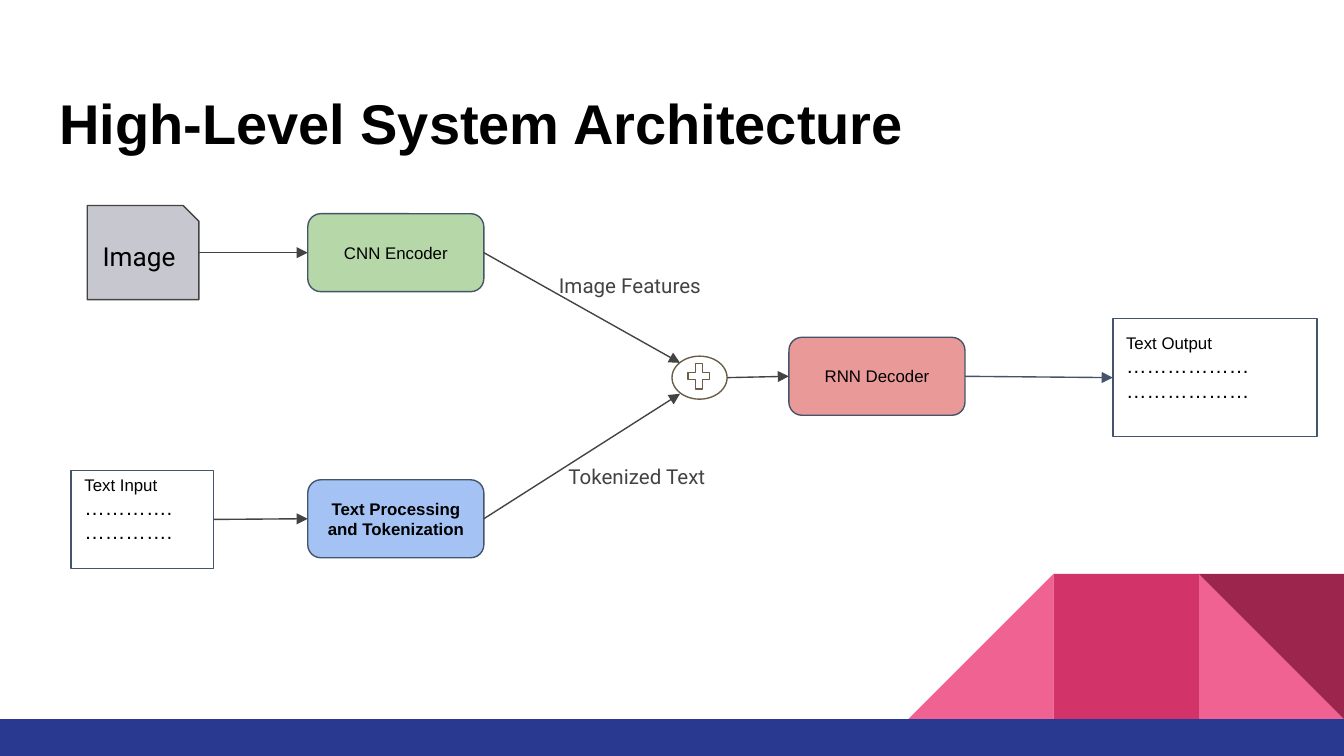
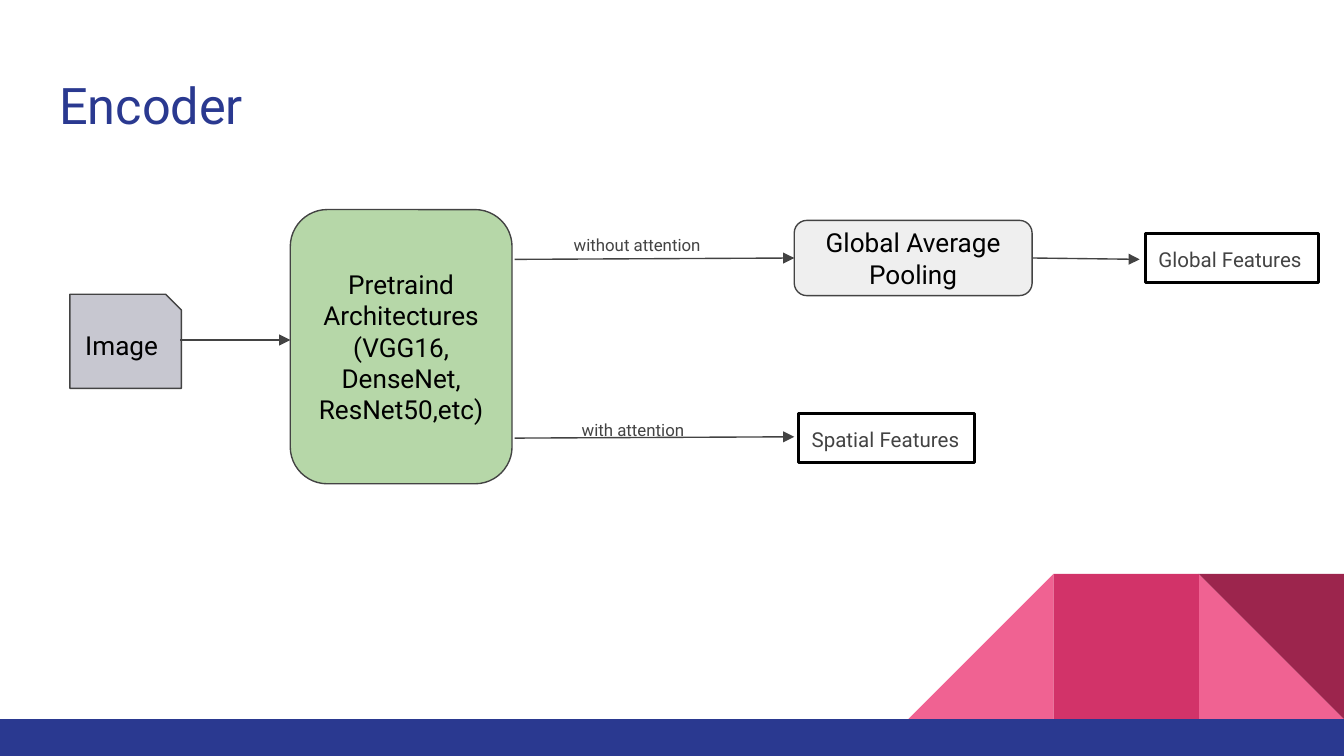
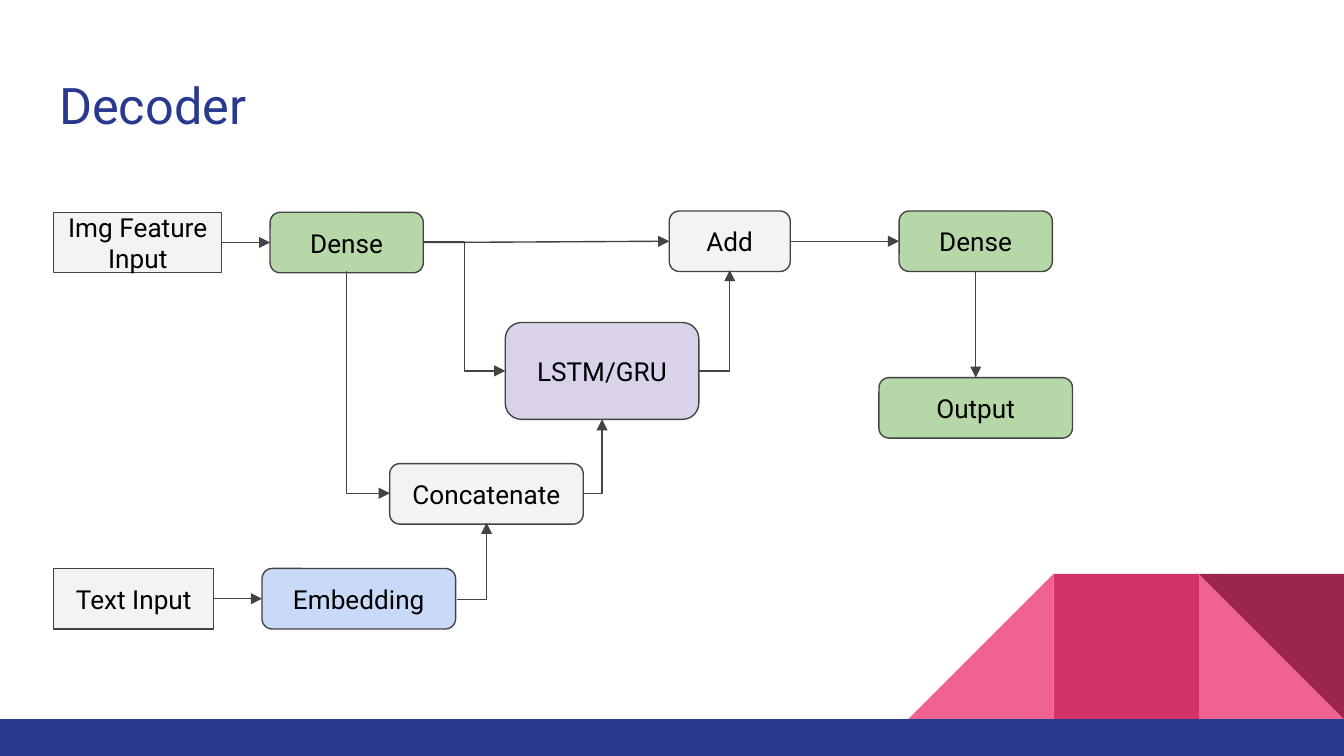
"""Build three slides on an image captioning encoder and decoder."""
import pptx
import pptx.dml.color
import pptx.enum.shapes
import pptx.enum.text
import pptx.oxml.ns
import pptx.util
from lxml import etree

Inches = pptx.util.Inches
Pt = pptx.util.Pt
RGBColor = pptx.dml.color.RGBColor
KIND = pptx.enum.shapes.MSO_SHAPE
CONNECTOR = pptx.enum.shapes.MSO_CONNECTOR
ALIGN = pptx.enum.text.PP_ALIGN
ANCHOR = pptx.enum.text.MSO_ANCHOR
qn = pptx.oxml.ns.qn

BLACK = RGBColor(0x00, 0x00, 0x00)
WHITE = RGBColor(0xFF, 0xFF, 0xFF)
NAVY = RGBColor(0x2A, 0x39, 0x90)
PINK = RGBColor(0xF0, 0x62, 0x92)
ROSE = RGBColor(0xD2, 0x33, 0x69)
WINE = RGBColor(0x9C, 0x25, 0x4D)
INK = RGBColor(0x43, 0x43, 0x43)
SLATE = RGBColor(0x44, 0x54, 0x6A)
BROWN = RGBColor(0x69, 0x5D, 0x46)
GREEN = RGBColor(0xB6, 0xD7, 0xA8)
RED = RGBColor(0xEA, 0x99, 0x99)
BLUE = RGBColor(0xA4, 0xC2, 0xF4)
PALE_BLUE = RGBColor(0xC9, 0xDA, 0xF8)
LILAC = RGBColor(0xD9, 0xD2, 0xE9)
STEEL = RGBColor(0xC7, 0xC7, 0xD0)
SILVER = RGBColor(0xEF, 0xEF, 0xEF)
MIST = RGBColor(0xF3, 0xF3, 0xF3)

TOP, LEFT, BOTTOM, RIGHT = range(4)
INSETS = {f"margin_{side}": Inches(0.1) for side in ("left", "top", "right", "bottom")}
FRAME = {"word_wrap": True, "auto_size": pptx.enum.text.MSO_AUTO_SIZE.NONE, **INSETS}
SMALL = {"name": "Arial", "size": Pt(9)}
LABEL = {"size": Pt(11), "color": INK}
NOTE = {"size": Pt(9), "color": INK}


def apply(target, values):
    """Set each named attribute of the target."""
    for name, value in values.items():
        setattr(target, name, value)


class Deck:
    """Holds the presentation style and the current slide."""

    def __init__(self):
        """Start an empty widescreen presentation."""
        self.prs = pptx.Presentation()
        apply(self.prs, {"slide_width": Inches(10), "slide_height": Inches(5.625)})
        self.layout = self.prs.slide_layouts[5]
        self.slide = None

    def start(self, title, size=27, name="Roboto", color=NAVY, bold=False, frame=None, spacing=1.0):
        """Add a slide with its title."""
        self.slide = self.prs.slides.add_slide(self.layout)
        if len(self.prs.slides) == 1:
            self.decorate()
        box = self.slide.shapes.title
        self.place(box, (0.34, 0.45, 9.32, 0.66))
        font = {"name": name, "size": Pt(size), "bold": bold, "color": color}
        self.set_text(box, [title], font, ALIGN.LEFT,
                      {"vertical_anchor": ANCHOR.MIDDLE, **(frame or {})})
        box.text_frame.paragraphs[0].line_spacing = spacing

    def decorate(self):
        """Put the folded ribbon and the footer band on the layout."""
        fold, top = 1.08, 4.27
        left, middle, right = (10 - fold * count for count in (3, 2, 1))
        ribbon = [
            self.node(KIND.RIGHT_TRIANGLE, (right, top, fold, fold), PINK, None),
            self.node(KIND.RIGHT_TRIANGLE, (left, top, fold, fold), PINK, None),
            self.node(KIND.RECTANGLE, (middle, top, fold, fold), ROSE, None),
            self.node(KIND.RIGHT_TRIANGLE, (right, top, fold, fold), WINE, None),
            self.node(KIND.RECTANGLE, (0, 5.35, 10, 0.28), NAVY, None),
        ]
        ribbon[1].element.spPr.find(qn("a:xfrm")).set("flipH", "1")
        ribbon[3].rotation = 180
        for part in ribbon:
            self.layout.shapes.element.append(part.element)

    def place(self, shape, at):
        """Move and size a shape in inches."""
        apply(shape, dict(zip(("left", "top", "width", "height"), map(Inches, at))))

    def set_text(self, shape, lines, font, align, frame):
        """Fill a shape with formatted paragraphs."""
        text = shape.text_frame
        apply(text, {**FRAME, **frame})
        style = {"name": "Roboto", "size": Pt(14), "color": BLACK, **font}
        color = style.pop("color")
        for index, line in enumerate(lines):
            paragraph = text.add_paragraph() if index else text.paragraphs[0]
            paragraph.text = line
            paragraph.alignment = align
            apply(paragraph.font, style)
            paragraph.font.color.rgb = color

    def node(self, kind, at, fill, line=INK, text="", font=None, align=ALIGN.CENTER,
             anchor=ANCHOR.MIDDLE, weight=0.75, frame=None):
        """Add a preset shape with optional text."""
        shape = self.slide.shapes.add_shape(kind, *map(Inches, at))
        shape.shadow.inherit = False
        if fill is None:
            shape.fill.background()
        else:
            shape.fill.solid()
            shape.fill.fore_color.rgb = fill
        if line is None:
            shape.line.fill.background()
        else:
            shape.line.color.rgb = line
            shape.line.width = Pt(weight)
        if text:
            self.set_text(shape, text.split("\n"), font or {}, align,
                          {"vertical_anchor": anchor, **(frame or {})})
        return shape

    def step(self, at, fill, text, font=None, line=INK):
        """Add a rounded processing step."""
        return self.node(KIND.ROUNDED_RECTANGLE, at, fill, line, text, font)

    def image(self, left, top):
        """Add the snipped card that stands for the input image."""
        return self.node(KIND.SNIP_1_RECTANGLE, (left, top, 0.83, 0.7), STEEL, text="Image")

    def page(self, at, title, dots):
        """Add a text page with a heading and two dotted lines."""
        page = self.node(KIND.RECTANGLE, at, WHITE, SLATE, "\n".join((title, dots, dots)), SMALL,
                         ALIGN.LEFT, frame={"margin_bottom": Inches(0.25)})
        for dotted in page.text_frame.paragraphs[1:]:
            dotted.font.size = Pt(11)
        return page

    def feature(self, at, text):
        """Add an outlined feature box."""
        return self.node(KIND.RECTANGLE, at, None, BLACK, text, LABEL, ALIGN.LEFT, ANCHOR.TOP, 1.5)

    def label(self, at, text, font):
        """Add a plain text label."""
        box = self.slide.shapes.add_textbox(*map(Inches, at))
        self.set_text(box, [text], font, ALIGN.LEFT, {"vertical_anchor": ANCHOR.TOP})

    def finish(self, connector, color):
        """Give a connector its line and arrowhead."""
        connector.line.color.rgb = color
        connector.line.width = Pt(0.75)
        properties = connector.element.spPr
        etree.SubElement(properties.find(qn("a:ln")), qn("a:tailEnd"), type="triangle")
        etree.SubElement(properties, qn("a:effectLst"))

    def arrow(self, start, end, color=INK):
        """Draw a straight arrow between points or (shape, side) pairs."""
        points = [(0, 0) if hasattr(spot[0], "left") else spot for spot in (start, end)]
        connector = self.slide.shapes.add_connector(
            CONNECTOR.STRAIGHT, *(Inches(value) for point in points for value in point))
        for spot, join in ((start, connector.begin_connect), (end, connector.end_connect)):
            if hasattr(spot[0], "left"):
                join(*spot)
        self.finish(connector, color)

    def elbow(self, start, end, bends=1, down_first=False):
        """Draw a right-angled arrow with one or two bends."""
        (x1, y1), (x2, y2) = start, end
        if down_first:
            x, y = (x1 + x2) / 2, (y1 + y2) / 2
            across, down = (x2 - x1) / 2, (y2 - y1) / 2
            x1, y1, x2, y2 = x + down, y - across, x - down, y + across
        connector = self.slide.shapes.add_connector(CONNECTOR.ELBOW, *map(Inches, (x1, y1, x2, y2)))
        properties = connector.element.spPr
        properties.find(qn("a:prstGeom")).set("prst", f"bentConnector{bends + 1}")
        if down_first:
            properties.find(qn("a:xfrm")).set("rot", str(270 * 60000))
        self.finish(connector, INK)


def architecture(deck):
    """Build the system overview."""
    deck.start("High-Level System Architecture", 30, "Arial", BLACK, True,
               {"margin_top": Inches(0.29)}, 1.15)
    size = (1.31, 0.58)
    cnn = deck.step((2.29, 1.59, *size), GREEN, "CNN Encoder", SMALL, SLATE)
    rnn = deck.step((5.87, 2.51, *size), RED, "RNN Decoder", SMALL, SLATE)
    output = deck.page((8.28, 2.37, 1.52, 0.88), "Text Output", "………………")
    deck.image(0.65, 1.53)
    tokenizer = deck.step((2.29, 3.57, *size), BLUE, "Text Processing and Tokenization",
                          {**SMALL, "bold": True}, SLATE)
    source = deck.page((0.53, 3.5, 1.06, 0.73), "Text Input", "………….")
    deck.arrow((rnn, RIGHT), (output, LEFT), SLATE)
    deck.arrow((1.47, 1.88), (cnn, LEFT))
    deck.arrow((source, RIGHT), (tokenizer, LEFT))
    deck.arrow((cnn, RIGHT), (5.06, 2.7))
    deck.arrow((tokenizer, RIGHT), (5.06, 2.93))
    deck.node(KIND.OVAL, (5, 2.65, 0.41, 0.32), WHITE, BROWN)
    plus = deck.node(KIND.MATH_PLUS, (5.09, 2.67, 0.22, 0.26), WHITE, BROWN)
    plus.adjustments[0] = 0.235
    deck.arrow((5.41, 2.81), (rnn, LEFT))
    deck.label((4.06, 1.94, 1.52, 0.18), "Image Features", LABEL)
    deck.label((4.13, 3.36, 1.52, 0.18), "Tokenized Text", LABEL)


def encoder(deck):
    """Build the encoder slide."""
    deck.start("Encoder")
    deck.step((2.16, 1.56, 1.65, 2.04), GREEN,
              "Pretraind\nArchitectures\v(VGG16, DenseNet, ResNet50,etc)")
    deck.image(0.52, 2.19)
    deck.arrow((1.34, 2.53), (2.16, 2.53))
    pooling = deck.step((5.91, 1.64, 1.77, 0.56), SILVER, "Global Average Pooling")
    deck.arrow((3.83, 1.93), (pooling, LEFT))
    deck.arrow((3.83, 3.26), (5.91, 3.25))
    deck.label((4.17, 1.65, 1.29, 0.2), "without attention", NOTE)
    deck.label((4.23, 3.02, 1.29, 0.2), "with attention", NOTE)
    deck.arrow((pooling, RIGHT), (8.48, 1.93))
    deck.feature((8.52, 1.74, 1.29, 0.36), "Global Features")
    deck.feature((5.94, 3.08, 1.31, 0.36), "Spatial Features")


def decoder(deck):
    """Build the decoder slide."""
    deck.start("Decoder")
    height = 0.45
    dense = deck.step((2.01, 1.58, 1.14, height), GREEN, "Dense")
    embedding = deck.step((1.95, 4.23, 1.44, height), PALE_BLUE, "Embedding")
    deck.step((2.9, 3.45, 1.44, height), MIST, "Concatenate")
    deck.step((3.76, 2.4, 1.44, 0.72), LILAC, "LSTM/GRU")
    add = deck.step((4.98, 1.57, 0.9, height), MIST, "Add")
    output = deck.step((6.54, 2.81, 1.44, height), GREEN, "Output")
    features = deck.node(KIND.RECTANGLE, (0.4, 1.58, 1.25, height), MIST, text="Img Feature Input")
    words = deck.node(KIND.RECTANGLE, (0.4, 4.23, 1.19, height), MIST, text="Text Input")
    last_dense = deck.step((6.69, 1.57, 1.14, height), GREEN, "Dense")
    deck.arrow((words, RIGHT), (embedding, LEFT))
    deck.arrow((features, RIGHT), (dense, LEFT))
    deck.elbow((2.58, 2.02), (2.9, 3.67), down_first=True)
    deck.elbow((3.4, 4.46), (3.62, 3.89))
    deck.elbow((4.34, 3.67), (4.48, 3.12))
    deck.elbow((3.15, 1.8), (3.76, 2.76), bends=2)
    deck.elbow((5.2, 2.76), (5.43, 2.01))
    deck.arrow((dense, RIGHT), (add, LEFT))
    deck.arrow((add, RIGHT), (last_dense, LEFT))
    deck.arrow((last_dense, BOTTOM), (output, TOP))


def main():
    """Build and save the presentation."""
    deck = Deck()
    for build in (architecture, encoder, decoder):
        build(deck)
    deck.prs.save("out.pptx")


if __name__ == "__main__":
    main()
